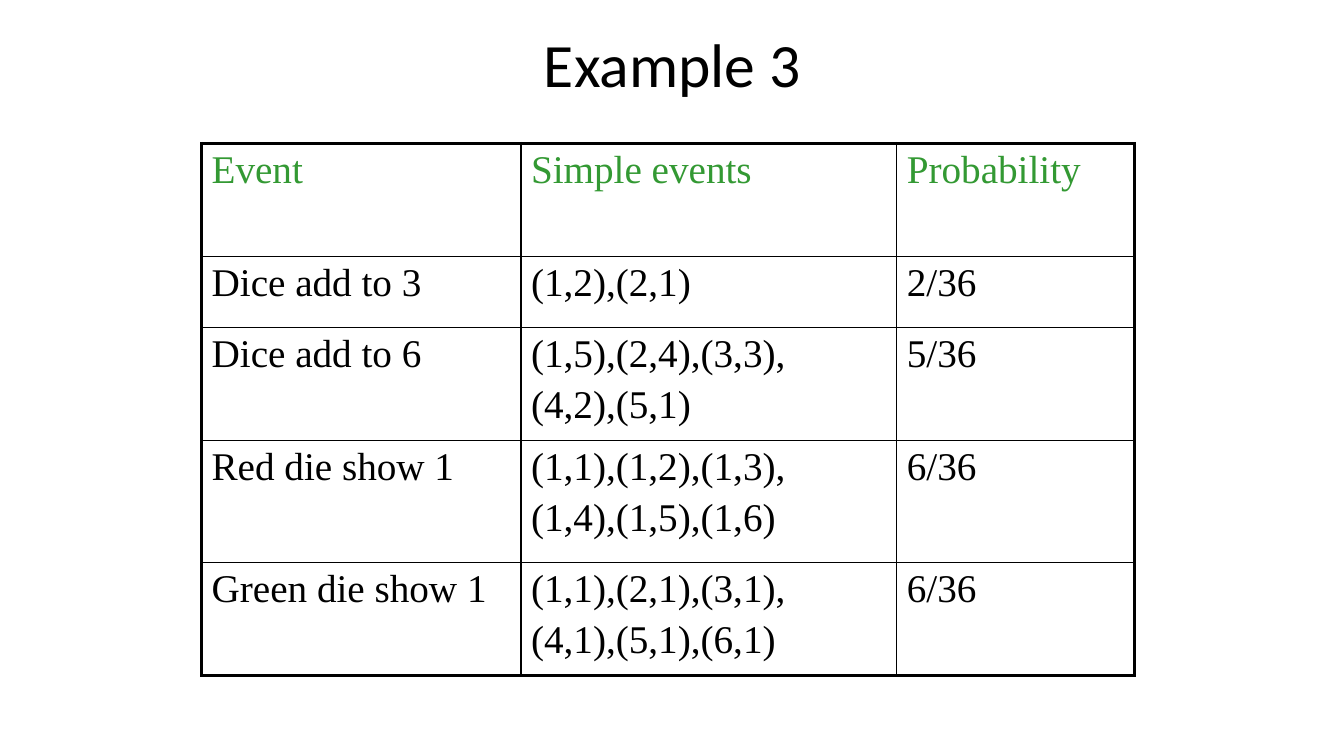
from lxml.etree import SubElement
from pptx import Presentation
from pptx.dml.color import RGBColor
from pptx.enum.text import MSO_ANCHOR, PP_ALIGN
from pptx.oxml.ns import qn
from pptx.util import Cm, Pt


def style(p, name, size, color):
    p.font.name = name
    p.font.size = Pt(size)
    p.font.bold = False
    p.font.color.rgb = RGBColor.from_string(color)


def add_border(cell, side, width, color):
    ln = SubElement(cell._tc.get_or_add_tcPr(), qn(f"a:ln{side}"), w=str(Pt(width)))
    SubElement(SubElement(ln, qn("a:solidFill")), qn("a:srgbClr"), val=color)


prs = Presentation()
prs.slide_width = Cm(33.87)
prs.slide_height = Cm(19.05)
s = prs.slides.add_slide(prs.slide_layouts[6])

title = s.shapes.add_textbox(Cm(6.15), Cm(0), Cm(21.59), Cm(3.18))
tf = title.text_frame
tf.word_wrap = True
tf.vertical_anchor = MSO_ANCHOR.MIDDLE
p = tf.paragraphs[0]
p.text = "Example 3"
p.alignment = PP_ALIGN.CENTER
style(p, "Calibri", 44, "000000")

rows = [
    ("Event", "Simple events", "Probability"),
    ("Dice add to 3", "(1,2),(2,1)", "2/36"),
    ("Dice add to 6", "(1,5),(2,4),(3,3),\n(4,2),(5,1)", "5/36"),
    ("Red die show 1", "(1,1),(1,2),(1,3),\n(1,4),(1,5),(1,6)", "6/36"),
    ("Green die show 1", "(1,1),(2,1),(3,1),\n(4,1),(5,1),(6,1)", "6/36"),
]
widths = [8.05, 9.47, 5.99]
heights = [2.85, 1.8, 2.85, 3.07, 2.85]

frame = s.shapes.add_table(len(rows), len(widths), Cm(5.08), Cm(3.61),
                           Cm(sum(widths)), Cm(sum(heights)))
table = frame.table
table.first_row = False
table.horz_banding = False
for column, width in zip(table.columns, widths):
    column.width = Cm(width)
for row, height in zip(table.rows, heights):
    row.height = Cm(height)

last_row, last_col = len(rows) - 1, len(widths) - 1
for i, texts in enumerate(rows):
    for j, text in enumerate(texts):
        cell = table.cell(i, j)
        cell.text = text
        outer = {"L": j == 0, "R": j == last_col, "T": i == 0, "B": i == last_row}
        for side, is_outer in outer.items():
            add_border(cell, side, 2.25 if is_outer else 1, "000000")
        cell.fill.background()
        for k, p in enumerate(cell.text_frame.paragraphs):
            if k > 0:
                p.space_before = Pt(5)
            style(p, "Times New Roman", 28, "339933" if i == 0 else "000000")

prs.save("out.pptx")
